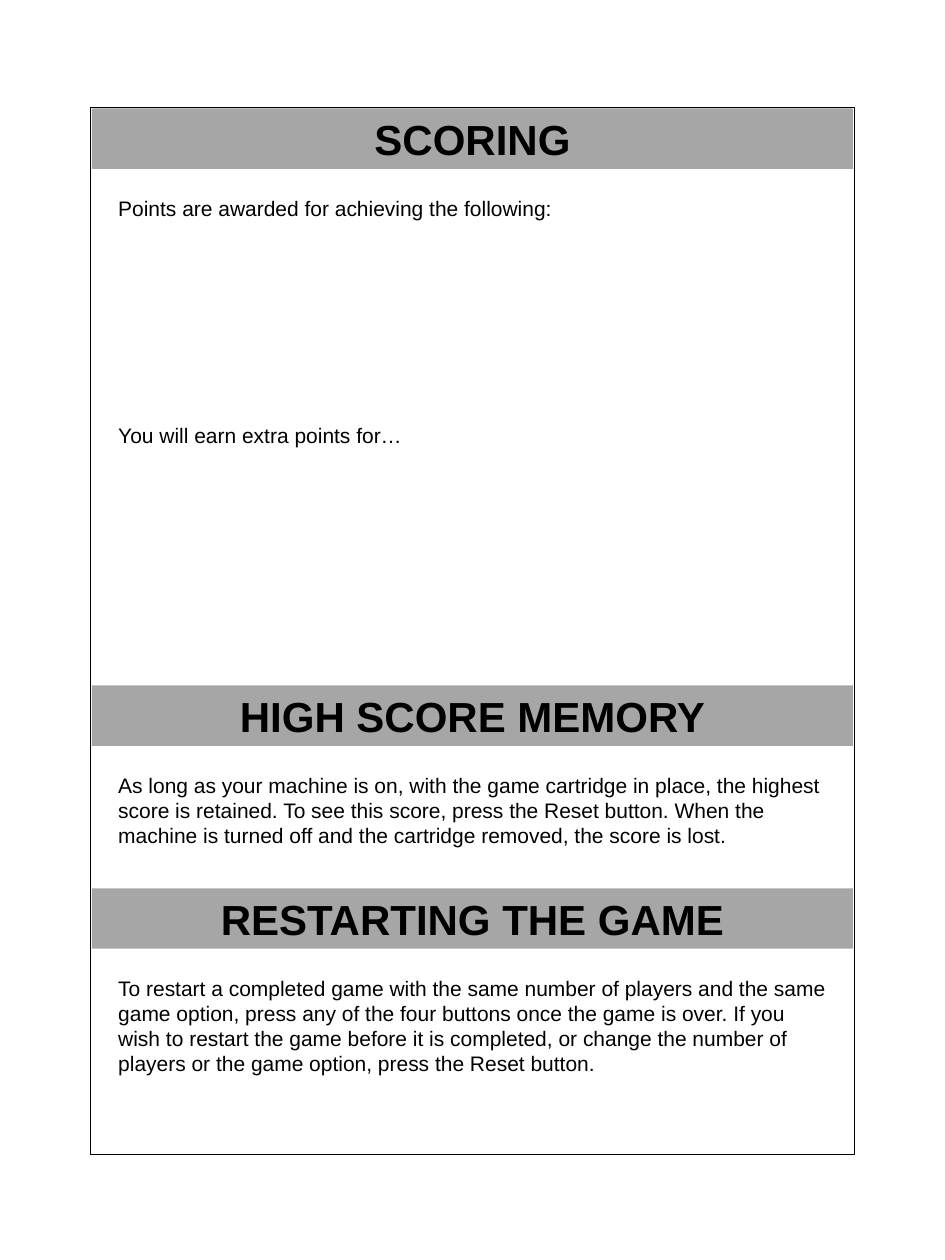
from dataclasses import dataclass

from pptx import Presentation
from pptx.dml.color import RGBColor as RGB
from pptx.enum.shapes import MSO_SHAPE as Shape
from pptx.enum.text import MSO_ANCHOR as Anchor, PP_ALIGN as Align
from pptx.util import Inches, Pt


@dataclass(frozen=True)
class Theme:
    font: str = "Arial"
    ink: RGB = RGB(0, 0, 0)
    band: RGB = RGB(0xA6, 0xA6, 0xA6)
    heading: int = 24
    body: int = 12
    rule: float = 0.5


class ManualPage:
    """Draws the elements of a game manual page in one style."""

    def __init__(self, slide, theme):
        self.s = slide
        self.theme = theme

    def box(self, left, top, width, height):
        sp = self.s.shapes.add_shape(
            Shape.RECTANGLE, Inches(left), Inches(top), Inches(width), Inches(height))
        sp.shadow.inherit = False
        return sp

    def style(self, p, size, bold=False):
        for r in p.runs:
            r.font.name = self.theme.font
            r.font.size = Pt(size)
            r.font.bold = bold
            r.font.color.rgb = self.theme.ink

    def frame(self, left, top, width, height):
        sp = self.box(left, top, width, height)
        sp.fill.background()
        sp.line.color.rgb = self.theme.ink
        sp.line.width = Pt(self.theme.rule)

    def heading(self, text, top):
        sp = self.box(0.73, top, 6.04, 0.48)
        sp.fill.solid()
        sp.fill.fore_color.rgb = self.theme.band
        sp.line.fill.background()
        tf = sp.text_frame
        tf.text = text
        tf.vertical_anchor = Anchor.MIDDLE
        p = tf.paragraphs[0]
        p.alignment = Align.CENTER
        self.style(p, self.theme.heading, bold=True)

    def body(self, paragraphs, top, height, gap=0):
        sp = self.s.shapes.add_textbox(
            Inches(0.84), Inches(top), Inches(5.83), Inches(height))
        tf = sp.text_frame
        tf.word_wrap = True
        tf.text = "\n".join(paragraphs)
        for p in tf.paragraphs:
            self.style(p, self.theme.body)
        for p in tf.paragraphs[1:]:
            p.space_before = Pt(gap)


SECTIONS = [
    ("SCORING", 0.86, 2.52,
     ["Points are awarded for achieving the following:",
      "You will earn extra points for…"]),
    ("HIGH SCORE MEMORY", 5.44, 0.71,
     ["As long as your machine is on, with the game cartridge in place, the highest "
      "score is retained. To see this score, press the Reset button. When the machine "
      "is turned off and the cartridge removed, the score is lost."]),
    ("RESTARTING THE GAME", 7.05, 0.91,
     ["To restart a completed game with the same number of players and the same game "
      "option, press any of the four buttons once the game is over. If you wish to "
      "restart the game before it is completed, or change the number of players or "
      "the game option, press the Reset button."]),
]


def main():
    prs = Presentation()
    prs.slide_width, prs.slide_height = Inches(7.5), Inches(10)
    page = ManualPage(prs.slides.add_slide(prs.slide_layouts[6]), Theme())
    page.frame(0.72, 0.85, 6.06, 8.31)
    for title, top, height, paragraphs in SECTIONS:
        page.heading(title, top)
        page.body(paragraphs, top + 0.64, height, gap=115.5)
    prs.save("out.pptx")


if __name__ == "__main__":
    main()
